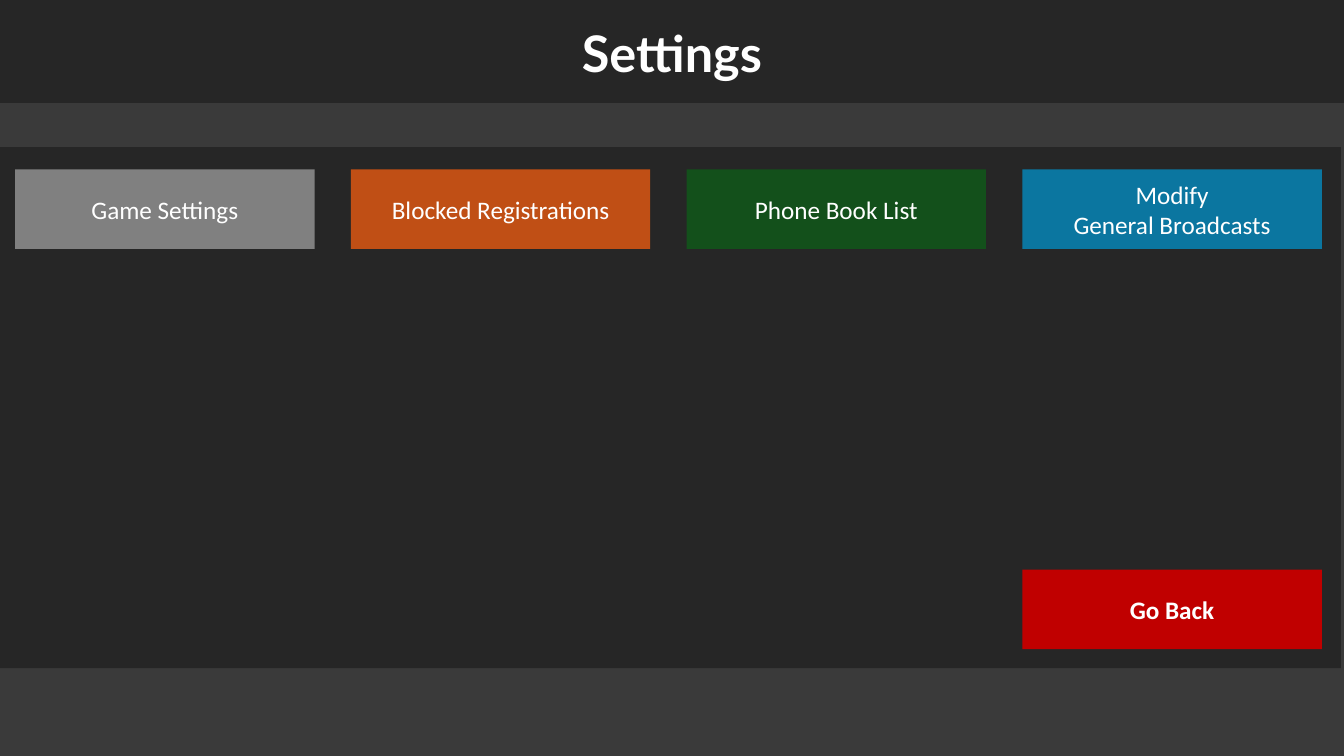
from pptx import Presentation
from pptx.dml.color import RGBColor
from pptx.enum.shapes import MSO_SHAPE as SHAPE
from pptx.enum.text import MSO_ANCHOR as ANCHOR, MSO_AUTO_SIZE as AUTO, PP_ALIGN as ALIGN
from pptx.util import Inches, Pt

BACKGROUND = RGBColor(0x3A, 0x3A, 0x3A)
PANEL = RGBColor(0x26, 0x26, 0x26)
WHITE = RGBColor(0xFF, 0xFF, 0xFF)
GRAY = RGBColor(0x80, 0x80, 0x80)
ORANGE = RGBColor(0xC0, 0x4F, 0x15)
GREEN = RGBColor(0x13, 0x50, 0x1B)
BLUE = RGBColor(0x0B, 0x76, 0xA0)
RED = RGBColor(0xC0, 0x00, 0x00)

SLIDE_W, SLIDE_H = 13.33, 7.5
BUTTON_W, BUTTON_H = 2.97, 0.79
BUTTON_LEFT, BUTTON_STEP = 0.15, 3.33
MENU_TOP, BACK_TOP = 1.68, 5.65


class SettingsSlide:
    title_font = {"name": "Lato", "size": Pt(36), "bold": True}
    button_font = {"name": "Calibri", "size": Pt(18), "bold": False}

    def __init__(self, prs):
        self.s = prs.slides.add_slide(prs.slide_layouts[5])
        fill = self.s.background.fill
        fill.solid()
        fill.fore_color.rgb = BACKGROUND

    def label(self, shape, text, font):
        tf = shape.text_frame
        tf.text = text
        tf.word_wrap = True
        tf.vertical_anchor = ANCHOR.MIDDLE
        for p in tf.paragraphs:
            p.alignment = ALIGN.CENTER
            for r in p.runs:
                for name, value in font.items():
                    setattr(r.font, name, value)
                r.font.color.rgb = WHITE

    def block(self, left, top, width, height, color):
        sp = self.s.shapes.add_shape(SHAPE.RECTANGLE, *map(Inches, (left, top, width, height)))
        sp.shadow.inherit = False
        sp.fill.solid()
        sp.fill.fore_color.rgb = color
        sp.line.fill.background()
        return sp

    def title(self, text, left, top, width, height):
        sp = self.s.shapes.title
        place = {"left": left, "top": top, "width": width, "height": height}
        for name, value in place.items():
            setattr(sp, name, Inches(value))
        self.label(sp, text, self.title_font)
        sp.text_frame.auto_size = AUTO.SHAPE_TO_FIT_TEXT
        # Bring the title in front of the header bar
        sp.element.getparent().append(sp.element)

    def button(self, column, top, text, color, bold=False):
        left = BUTTON_LEFT + column * BUTTON_STEP
        sp = self.block(left, top, BUTTON_W, BUTTON_H, color)
        self.label(sp, text, {**self.button_font, "bold": bold})


def main():
    prs = Presentation()
    prs.slide_width, prs.slide_height = Inches(SLIDE_W), Inches(SLIDE_H)
    slide = SettingsSlide(prs)

    # Header
    slide.block(0, 0, SLIDE_W, 1.02, PANEL)
    slide.title("Settings", 0, 0.16, SLIDE_W, 0.71)

    # Main panel
    slide.block(-0.03, 1.46, SLIDE_W, 5.17, PANEL)

    # Menu buttons
    menu = [
        ("Game Settings", GRAY),
        ("Blocked Registrations", ORANGE),
        ("Phone Book List", GREEN),
        ("Modify\nGeneral Broadcasts", BLUE),
    ]
    for column, (text, color) in enumerate(menu):
        slide.button(column, MENU_TOP, text, color)

    # Return button, under the last column
    slide.button(len(menu) - 1, BACK_TOP, "Go Back", RED, bold=True)

    prs.save("out.pptx")


if __name__ == "__main__":
    main()
